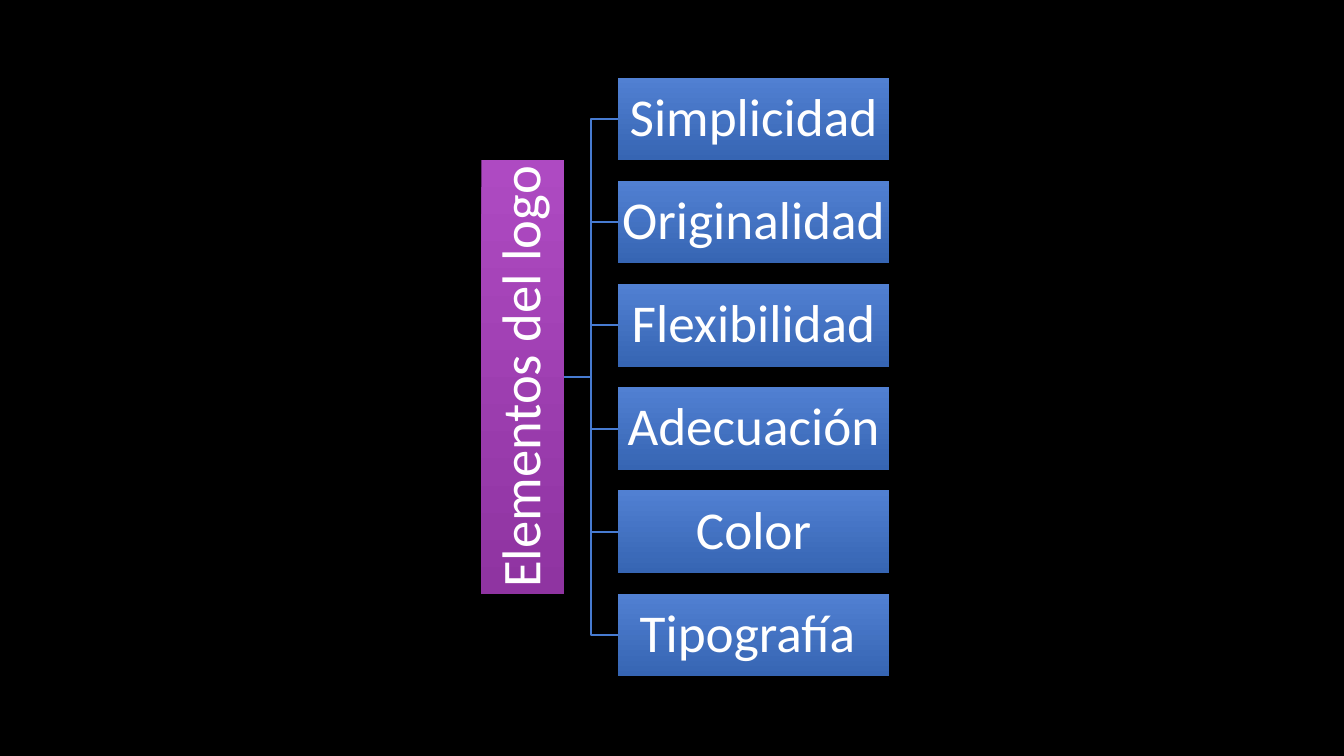
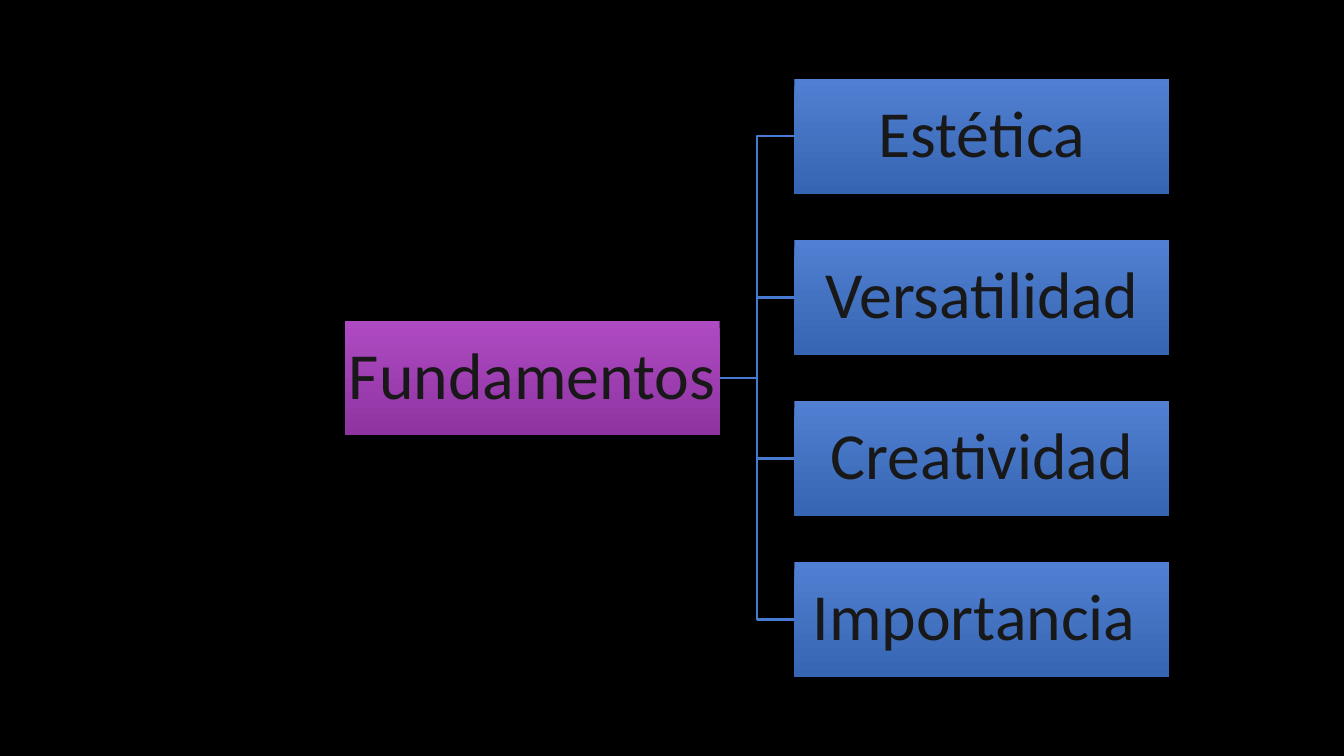
from dataclasses import dataclass

from pptx import Presentation
from pptx.dml.color import RGBColor
from pptx.enum import shapes, text
from pptx.oxml.ns import qn
from pptx.slide import Slide
from pptx import util as u

BLACK = RGBColor(0x00, 0x00, 0x00)
WHITE = RGBColor(0xFF, 0xFF, 0xFF)
CHARCOAL = RGBColor(0x18, 0x18, 0x18)
LINK_BLUE = RGBColor(0x47, 0x7B, 0xD1)
BLUES = (RGBColor(0x51, 0x80, 0xD2), RGBColor(0x36, 0x65, 0xB3))
PURPLES = (RGBColor(0xAE, 0x4A, 0xC2), RGBColor(0x8F, 0x34, 0xA1))

FONT = "Calibri"
SLIDE_WIDTH = u.Inches(13.333)
SLIDE_HEIGHT = u.Inches(7.5)
BLANK_LAYOUT = 6


@dataclass(frozen=True)
class Block:
    left: float
    middle: float
    width: float
    height: float

    @property
    def right(self) -> float:
        return self.left + self.width


@dataclass(frozen=True)
class Tree:
    root: str
    branches: tuple[str, ...]
    trunk: Block
    branch: Block
    pitch: float
    root_size: int
    branch_size: int
    ink: RGBColor
    upright: bool = False


TREES = (
    Tree(
        root="Elementos del logo",
        branches=("Simplicidad", "Originalidad", "Flexibilidad",
                  "Adecuación", "Color", "Tipografía "),
        trunk=Block(35.81, 49.87, 6.15, 57.47),
        branch=Block(45.98, 49.87, 20.18, 10.93),
        pitch=13.65,
        root_size=39,
        branch_size=38,
        ink=WHITE,
        upright=True,
    ),
    Tree(
        root="Fundamentos ",
        branches=("Estética", "Versatilidad", "Creatividad", "Importancia "),
        trunk=Block(25.65, 50, 27.9, 15.15),
        branch=Block(59.1, 50, 27.9, 15.15),
        pitch=21.3,
        root_size=47,
        branch_size=47,
        ink=CHARCOAL,
    ),
)


def across(percent: float) -> int:
    return round(SLIDE_WIDTH * percent / 100)


def down(percent: float) -> int:
    return round(SLIDE_HEIGHT * percent / 100)


def add_label(page: Slide, label: str, *, block: Block,
              shades: tuple[RGBColor, RGBColor], size: int,
              ink: RGBColor, upright: bool = False) -> None:
    center_x = across(block.left + block.width / 2)
    center_y = down(block.middle)
    width, height = across(block.width), down(block.height)
    if upright:
        width, height = height, width
    box = page.shapes.add_shape(
        shapes.MSO_SHAPE.RECTANGLE,
        center_x - width // 2, center_y - height // 2, width, height)
    box.rotation = 270 if upright else 0
    box.shadow.inherit = False
    box.line.fill.background()
    box.fill.gradient()
    box.fill.gradient_angle = 270
    for stop, shade in zip(box.fill.gradient_stops, shades):
        stop.color.rgb = shade
    box.element.spPr.find(qn("a:gradFill")).set("rotWithShape", "0")

    frame = box.text_frame
    frame.word_wrap = True
    frame.vertical_anchor = text.MSO_ANCHOR.MIDDLE
    frame.margin_left = frame.margin_right = u.Inches(0.03)
    frame.margin_top = frame.margin_bottom = u.Inches(0.03)
    para = frame.paragraphs[0]
    para.alignment = text.PP_ALIGN.CENTER
    para.line_spacing = 0.9
    span = para.add_run()
    span.text = label
    span.font.name = FONT
    span.font.size = u.Pt(size)
    span.font.color.rgb = ink


def add_elbow(page: Slide, trunk: Block, branch: Block) -> None:
    bend = across((trunk.right + branch.left) / 2)
    start_y, end_y = down(trunk.middle), down(branch.middle)
    builder = page.shapes.build_freeform(across(trunk.right), start_y)
    builder.add_line_segments(
        [(bend, start_y), (bend, end_y), (across(branch.left), end_y)],
        close=False)
    elbow = builder.convert_to_shape()
    elbow.shadow.inherit = False
    elbow.fill.background()
    elbow.line.color.rgb = LINK_BLUE
    elbow.line.width = u.Pt(1.5)


def branch_blocks(tree: Tree) -> list[Block]:
    base = tree.branch
    offset = (len(tree.branches) - 1) / 2
    return [
        Block(base.left, base.middle + (row - offset) * tree.pitch,
              base.width, base.height)
        for row in range(len(tree.branches))
    ]


def draw_tree(page: Slide, tree: Tree) -> None:
    blocks = branch_blocks(tree)
    for block in blocks:
        add_elbow(page, tree.trunk, block)
    add_label(page, tree.root, block=tree.trunk, shades=PURPLES,
              size=tree.root_size, ink=tree.ink, upright=tree.upright)
    for label, block in zip(tree.branches, blocks):
        add_label(page, label, block=block, shades=BLUES,
                  size=tree.branch_size, ink=tree.ink)


def main() -> None:
    deck = Presentation()
    deck.slide_width = SLIDE_WIDTH
    deck.slide_height = SLIDE_HEIGHT
    backdrop = deck.slide_master.background.fill
    backdrop.solid()
    backdrop.fore_color.rgb = BLACK
    for tree in TREES:
        draw_tree(deck.slides.add_slide(deck.slide_layouts[BLANK_LAYOUT]), tree)
    deck.save("out.pptx")


main()
